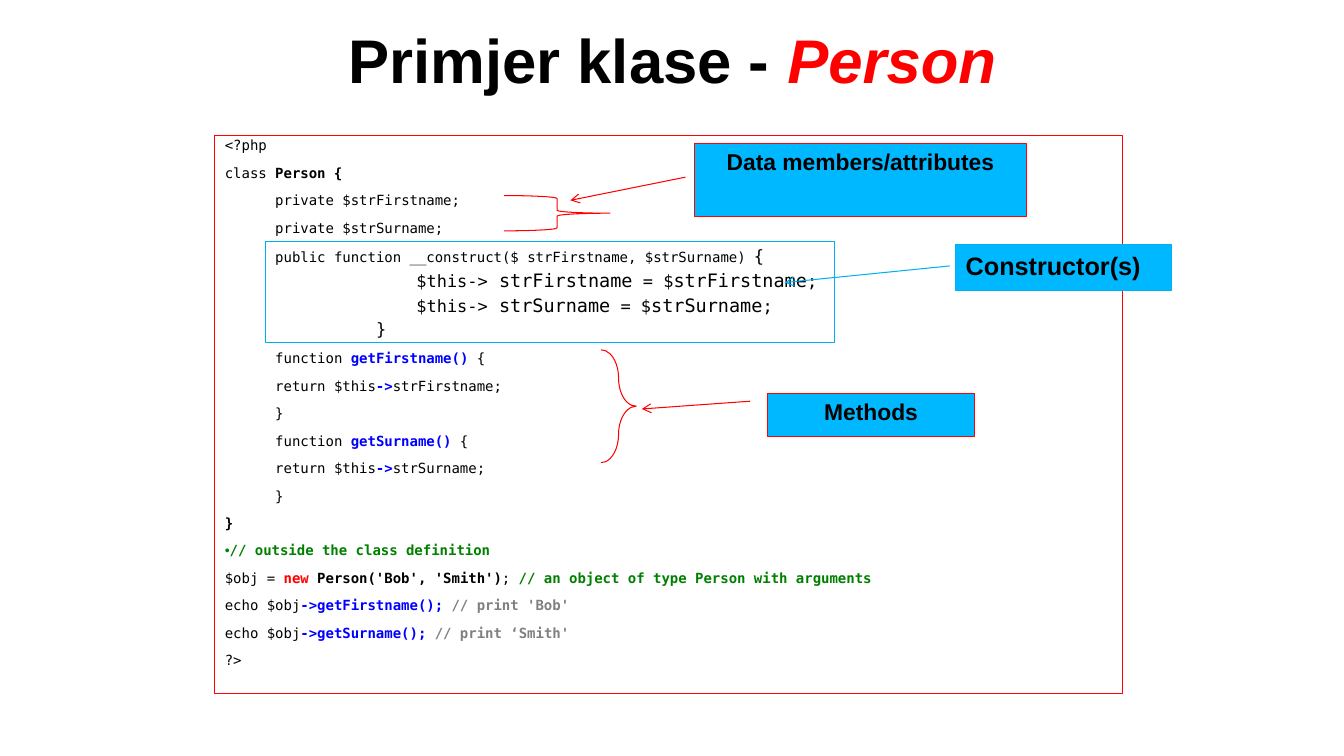
from lxml import etree
from pptx import Presentation
from pptx import util as u
from pptx.dml.color import RGBColor
from pptx.enum import shapes, text
from pptx.oxml import ns

COLOURS = {
    "black": "000000", "red": "FF0000", "blue": "0000FF", "green": "008000",
    "grey": "808080", "label": "00B8FF", "sky": "00B0F0",
}
STYLES = {
    "plain": (10, False, "black"), "strong": (10, True, "black"),
    "method": (10, True, "blue"), "keyword": (10, True, "red"),
    "comment": (10, True, "green"), "output": (10, True, "grey"),
    "medium": (12.1, False, "black"), "large": (13.2, False, "black"),
}
FIELDS = ("Firstname", "Surname")


def assignment(field):
    return [("$this->", "medium"), (f" str{field}", "large"), (" = $", "medium"),
            (f"str{field}", "large"), (";", "medium")]


def getter(field):
    return [
        (None, [("\tfunction ", "plain"), (f"get{field}() ", "method"), ("{", "plain")]),
        (None, [("\treturn $this", "plain"), ("->", "method"), (f"str{field};", "plain")]),
        (None, [("\t}", "plain")]),
    ]


def call(field, remark):
    return (None, [("echo $obj", "plain"), (f"->get{field}(); ", "method"), (remark, "output")])


CODE = [
    (None, [("<?php", "plain")]),
    (None, [("class ", "plain"), ("Person {", "strong")]),
    *[(None, [(f"\tprivate $str{field};", "plain")]) for field in FIELDS],
    (None, [("\tpublic function __construct($ strFirstname, $strSurname) ", "plain"),
            ("{", "medium")]),
    *[(1.9, assignment(field)) for field in FIELDS],
    (1.5, [("}", "medium")]),
    *[line for field in FIELDS for line in getter(field)],
    (None, [("}", "strong")]),
    ("•", [("// outside the class definition", "comment")]),
    (None, [("$obj = ", "plain"), ("new ", "keyword"), ("Person('Bob', 'Smith')", "strong"),
            ("; ", "plain"), ("// an object of type Person with arguments", "comment")]),
    call("Firstname", "// print 'Bob'"),
    call("Surname", "// print ‘Smith'"),
    (None, [("?>", "plain")]),
]


def colour(name):
    return RGBColor.from_string(COLOURS[name])


def apply(target, values):
    for name, value in values.items():
        setattr(target, name, value)


def place(shape, box):
    apply(shape, dict(zip(("left", "top", "width", "height"), map(u.Inches, box))))


def add_span(para, words, size, tint, font, bold=True, italic=False):
    span = para.add_run()
    span.text = words
    apply(span.font, {"name": font, "size": u.Pt(size), "bold": bold, "italic": italic})
    span.font.color.rgb = colour(tint)


def outline(shape, tint):
    shape.line.color.rgb = colour(tint)
    shape.line.width = u.Pt(0.75)


def add_title(page, box):
    title = page.shapes.title
    place(title, box)
    apply(title.text_frame, {"auto_size": text.MSO_AUTO_SIZE.NONE,
                             "vertical_anchor": text.MSO_ANCHOR.MIDDLE})
    para = title.text_frame.paragraphs[0]
    add_span(para, "Primjer klase - ", 44, "black", "Arial")
    add_span(para, "Person", 44, "red", "Arial", italic=True)


def add_code(page, box):
    body = page.placeholders[1]
    place(body, box)
    outline(body, "red")
    frame = body.text_frame
    frame.auto_size = text.MSO_AUTO_SIZE.NONE
    for number, (layout, spans) in enumerate(CODE):
        para = frame.add_paragraph() if number else frame.paragraphs[0]
        nested = isinstance(layout, float)
        apply(para, {"level": 3 if nested else 0, "line_spacing": 0.8,
                     "space_before": u.Pt(5 if nested else 10)})
        props = para._p.get_or_add_pPr()
        props.set("marL", str(u.Inches(layout if nested else 0)))
        props.set("indent", "0")
        if layout == "•":
            etree.SubElement(props, ns.qn("a:buChar")).set("char", layout)
        else:
            etree.SubElement(props, ns.qn("a:buNone"))
        for words, style in spans:
            size, bold, tint = STYLES[style]
            add_span(para, words, size, tint, "DejaVu Sans Mono", bold)


def add_outline_shape(page, kind, box, tint, adjustments=()):
    shape = page.shapes.add_shape(kind, *map(u.Inches, box))
    shape.shadow.inherit = False
    shape.fill.background()
    outline(shape, tint)
    for index, value in enumerate(adjustments):
        shape.adjustments[index] = value
    return shape


def add_callout(page, box, words, size, tint, adjustments, align):
    label = add_outline_shape(page, shapes.MSO_SHAPE.LINE_CALLOUT_1, box, tint, adjustments)
    label.fill.solid()
    label.fill.fore_color.rgb = colour("label")
    tail = etree.SubElement(label.element.spPr.find(ns.qn("a:ln")), ns.qn("a:tailEnd"))
    tail.set("type", "arrow")
    apply(label.text_frame, {"word_wrap": True, "vertical_anchor": text.MSO_ANCHOR.TOP})
    para = label.text_frame.paragraphs[0]
    para.alignment = align
    add_span(para, words, size, "black", "Arial")


def add_annotations(page, box):
    left, top = box[:2]

    def inside(x, y, width, height):
        return left + x, top + y, width, height

    brace = shapes.MSO_SHAPE.RIGHT_BRACE
    centre, start = text.PP_ALIGN.CENTER, text.PP_ALIGN.LEFT
    add_outline_shape(page, brace, inside(2.87, 0.6, 1.05, 0.35), "red", (0.083, 0.5))
    add_outline_shape(page, brace, inside(3.83, 2.13, 0.35, 1.12), "red", (1.2, 0.5))
    add_outline_shape(page, shapes.MSO_SHAPE.RECTANGLE, inside(0.5, 1.06, 5.65, 1), "sky")
    add_callout(page, inside(4.76, 0.08, 3.29, 0.73), "Data members/attributes", 16.3,
                "red", (0.463, -0.028, 0.778, -0.375), centre)
    add_callout(page, inside(5.48, 2.56, 2.06, 0.43), "Methods", 16.3,
                "red", (0.188, -0.083, 0.367, -0.604), centre)
    add_callout(page, inside(7.35, 1.09, 2.14, 0.45), "Constructor(s)", 18,
                "sky", (0.463, -0.028, 0.829, -0.793), start)


def main():
    deck = Presentation()
    apply(deck, {"slide_width": u.Inches(13.33), "slide_height": u.Inches(7.5)})
    page = deck.slides.add_slide(deck.slide_layouts[1])
    code_box = (2.13, 1.34, 9, 5.54)
    add_title(page, (1.85, 0.11, 9.64, 0.95))
    add_code(page, code_box)
    add_annotations(page, code_box)
    deck.save("out.pptx")


if __name__ == "__main__":
    main()
